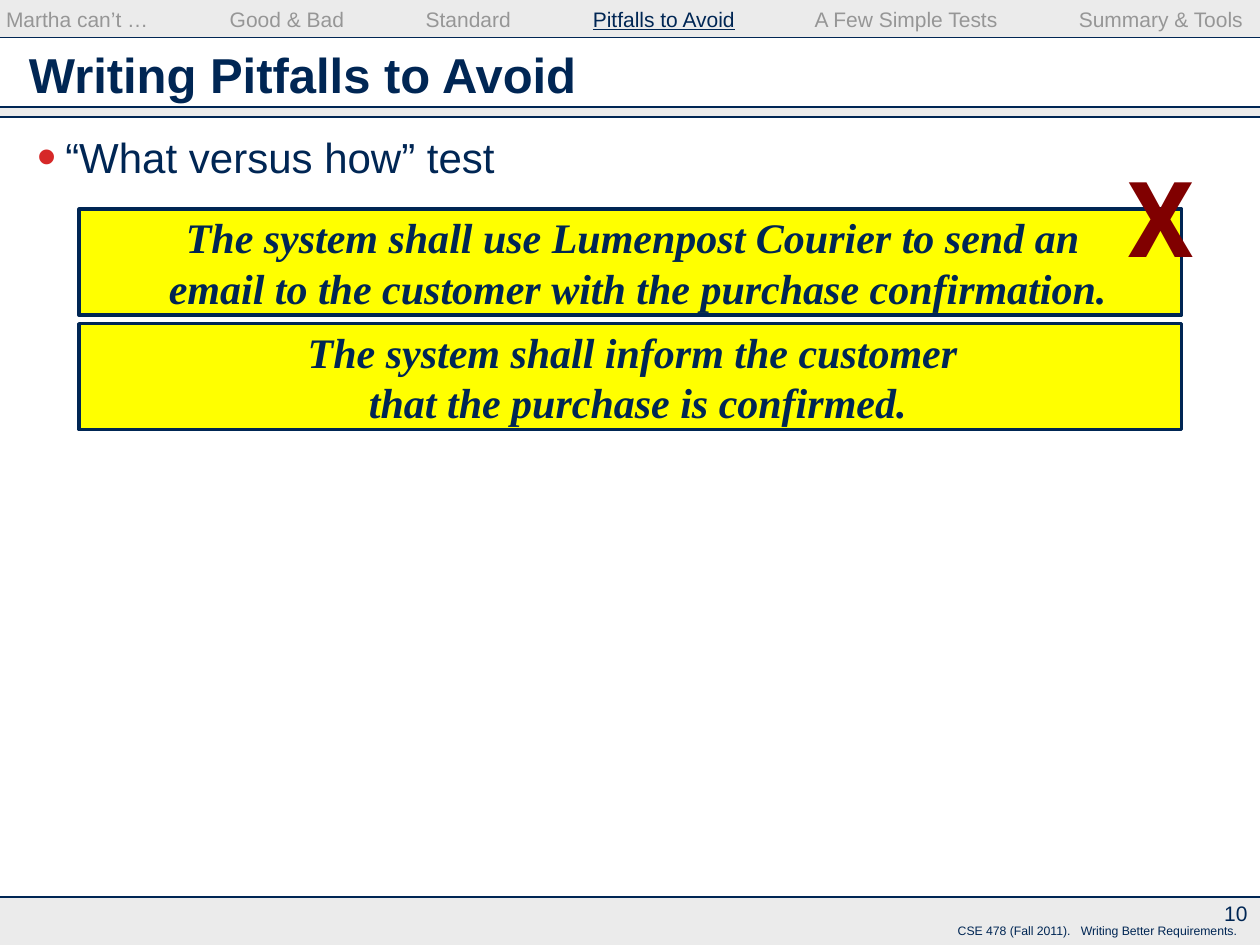
"""Build the slide on writing pitfalls: the what-versus-how test for requirements."""
from dataclasses import dataclass

from lxml import etree
from pptx import Presentation
from pptx.dml.color import RGBColor
from pptx.enum.shapes import MSO_CONNECTOR, MSO_SHAPE
from pptx.enum.text import MSO_ANCHOR, MSO_AUTO_SIZE, PP_ALIGN
from pptx.oxml.ns import qn
from pptx.util import Pt

RECTANGLE = MSO_SHAPE.RECTANGLE
STRAIGHT = MSO_CONNECTOR.STRAIGHT
TOP, MIDDLE = MSO_ANCHOR.TOP, MSO_ANCHOR.MIDDLE
LEFT, CENTER, RIGHT = PP_ALIGN.LEFT, PP_ALIGN.CENTER, PP_ALIGN.RIGHT
NO_AUTOFIT = MSO_AUTO_SIZE.NONE


@dataclass(frozen=True)
class Theme:
    navy: str = "002654"
    band: str = "CDCDCD"
    muted: str = "969696"
    bullet: str = "D62828"
    yellow: str = "FFFF00"
    maroon: str = "800000"
    sans: str = "Arial"
    serif: str = "Times New Roman"
    mark_font: str = "Roboto"
    title_size: float = 28
    body_size: float = 24
    mark_size: float = 60
    small_size: float = 12
    footer_size: float = 7


theme = Theme()
WIDTH, HEIGHT = 720, 540

deck = Presentation()
deck.slide_width, deck.slide_height = Pt(WIDTH), Pt(HEIGHT)
slide = deck.slides.add_slide(deck.slide_layouts[5])
shapes = slide.shapes


def set_frame(shape, anchor=TOP, align=LEFT, margins=(7.2, 3.6, 7.2, 3.6), tabs=()):
    frame = shape.text_frame
    left, top, right, bottom = map(Pt, margins)
    settings = {
        "word_wrap": True, "auto_size": NO_AUTOFIT, "vertical_anchor": anchor,
        "margin_left": left, "margin_top": top,
        "margin_right": right, "margin_bottom": bottom,
    }
    for key, value in settings.items():
        setattr(frame, key, value)
    paragraph = frame.paragraphs[0]
    paragraph.alignment = align
    if tabs:
        stops = etree.SubElement(paragraph._p.get_or_add_pPr(), qn("a:tabLst"))
        for stop in tabs:
            etree.SubElement(stops, qn("a:tab"), pos=str(Pt(stop)), algn="l")
    return paragraph


def add_run(paragraph, text, size, color=theme.navy, font=theme.sans, **styles):
    run = paragraph.add_run()
    run.text = text
    settings = {"name": font, "size": Pt(size), **styles}
    for key, value in settings.items():
        setattr(run.font, key, value)
    run.font.color.rgb = RGBColor.from_string(color)


for top, height in ((512.64, 27.36), (0, 21.6), (61.2, 5.4)):
    band = shapes.add_shape(RECTANGLE, 0, Pt(top), Pt(WIDTH), Pt(height))
    band.shadow.inherit = False
    band.line.fill.background()
    band.fill.solid()
    band.fill.fore_color.rgb = RGBColor.from_string(theme.band)
    band_color = band._element.spPr.find(".//" + qn("a:srgbClr"))
    etree.SubElement(band_color, qn("a:alpha"), val="40000")

for y in (61.2, 21.6, 66.8, 512.64):
    rule = shapes.add_connector(STRAIGHT, 0, Pt(y), Pt(WIDTH), Pt(y))
    rule.line.color.rgb = RGBColor.from_string(theme.navy)
    rule.line.width = Pt(0.75)
    etree.SubElement(rule._element.spPr, qn("a:effectLst"))

footer = shapes.add_textbox(Pt(540.2), Pt(524.16), Pt(179.8), Pt(15.84))
footer_line = set_frame(footer, tabs=(70.3,))
add_run(footer_line, "CSE 478 (Fall 2011).\tWriting Better Requirements.", theme.footer_size)

page_number = shapes.add_textbox(Pt(669.6), Pt(509.76), Pt(50.4), Pt(24.48))
add_run(set_frame(page_number, MIDDLE, RIGHT), "10", theme.small_size)

title = shapes.title
title.left, title.top, title.width, title.height = Pt(9.36), Pt(18.72), Pt(701.28), Pt(47.52)
add_run(set_frame(title, MIDDLE), "Writing Pitfalls to Avoid", theme.title_size, bold=True)

test_name = shapes.add_textbox(0, Pt(74.16), Pt(701.28), Pt(439.2))
test_line = set_frame(test_name)
test_line.line_spacing = Pt(26)
test_format = test_line._p.get_or_add_pPr()
test_format.set("marL", str(Pt(30.24)))
test_format.set("indent", str(Pt(-15.84)))
bullet_color = etree.SubElement(test_format, qn("a:buClr"))
etree.SubElement(bullet_color, qn("a:srgbClr"), val=theme.bullet)
etree.SubElement(test_format, qn("a:buSzPct"), val="130000")
etree.SubElement(test_format, qn("a:buFont"), typeface=theme.sans)
etree.SubElement(test_format, qn("a:buChar"), char="•")
add_run(test_line, "“What versus how” test", theme.body_size)

requirements = (
    ("The system shall use Lumenpost Courier to send an ",
     "email to the customer with the purchase confirmation."),
    ("The system shall inform the customer ",
     "that the purchase is confirmed."),
)
for index, sentence_lines in enumerate(requirements):
    requirement = shapes.add_shape(
        RECTANGLE, Pt(45.2), Pt(119.6 + 65.4 * index), Pt(630), Pt(60.48))
    requirement.shadow.inherit = False
    requirement.fill.solid()
    requirement.fill.fore_color.rgb = RGBColor.from_string(theme.yellow)
    requirement.line.color.rgb = RGBColor.from_string(theme.navy)
    requirement.line.width = Pt(2)
    sentence = set_frame(requirement, MIDDLE, CENTER, (8.6, 0, 0, 0))
    for number, words in enumerate(sentence_lines):
        if number:
            sentence.add_line_break()
        add_run(sentence, words, theme.body_size, font=theme.serif, bold=True, italic=True)

wrong_mark = shapes.add_textbox(Pt(637.2), Pt(83.52), Pt(54), Pt(79.2))
add_run(set_frame(wrong_mark), "X", theme.mark_size, theme.maroon, theme.mark_font, bold=True)

sections = ("Martha can’t …", "Good & Bad", "Standard",
            "Pitfalls to Avoid", "A Few Simple Tests", "Summary & Tools")
current_section = "Pitfalls to Avoid"
navigation = shapes.add_textbox(Pt(-3.6), Pt(3.6), Pt(727.2), Pt(18))
navigation_line = set_frame(
    navigation, margins=(7.2, 0, 7.2, 3.6), tabs=(127.8, 239.8, 335.3, 462.1, 613))
for index, section in enumerate(sections):
    if index:
        add_run(navigation_line, "\t", theme.small_size, theme.muted)
    is_current = section == current_section
    add_run(navigation_line, section, theme.small_size,
            theme.navy if is_current else theme.muted, underline=is_current)

deck.save("out.pptx")
